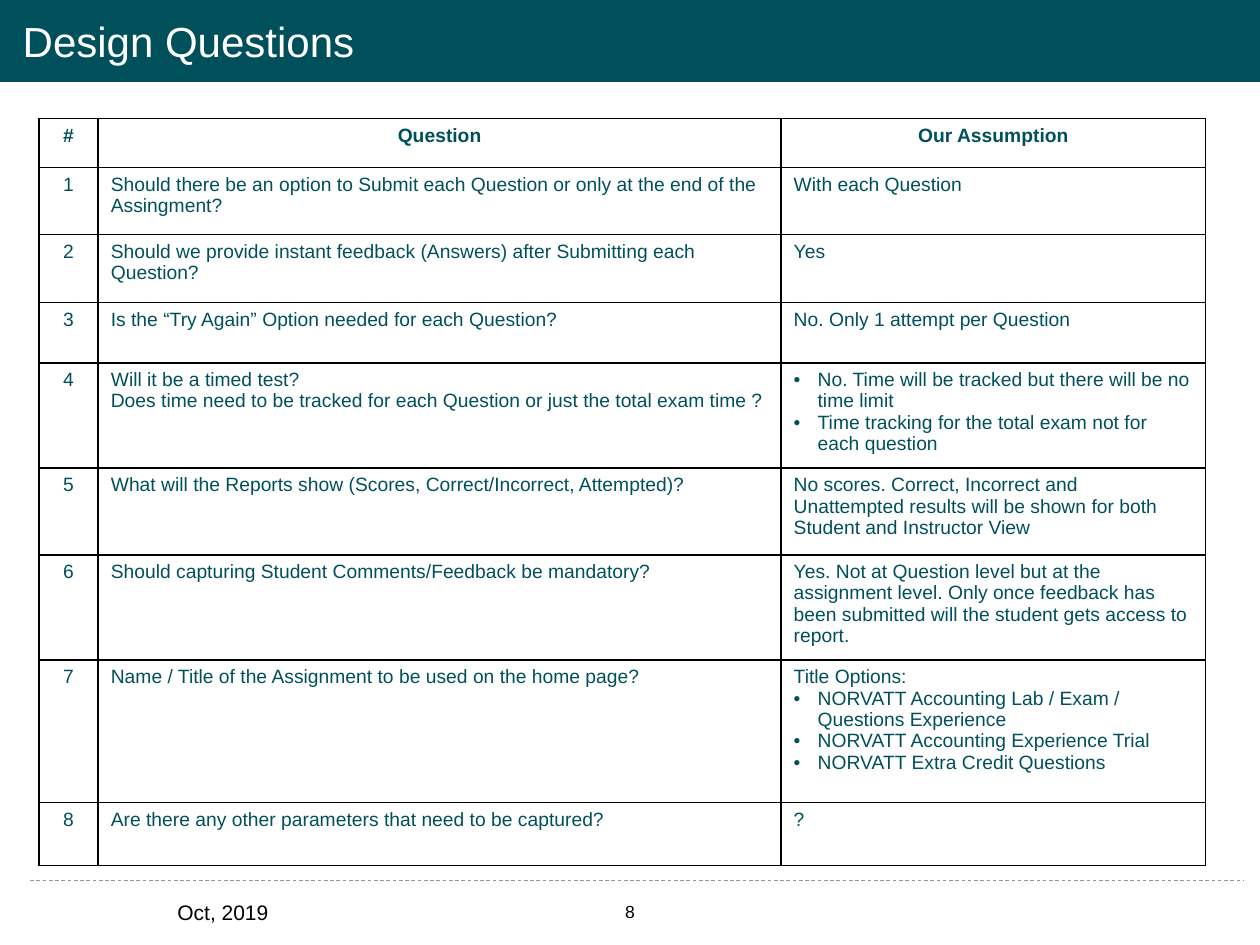
from lxml.etree import SubElement
from pptx import Presentation
from pptx.dml.color import RGBColor
from pptx.enum.dml import MSO_LINE
from pptx.enum.shapes import MSO_CONNECTOR, MSO_SHAPE
from pptx.enum.text import MSO_ANCHOR as Anchor, PP_ALIGN as Align
from pptx.oxml.ns import qn
from pptx.util import Inches, Pt

TEAL = RGBColor(0x00, 0x50, 0x5C)
GREY = RGBColor(0x96, 0x96, 0x96)
BLACK = RGBColor(0, 0, 0)
WHITE = RGBColor(255, 255, 255)
FONT = "Arial"
BULLET = "• "

TITLE = "Design Questions"
DATE = "Oct, 2019"
PAGE = "8"
HEADINGS = ("#", "Question", "Our Assumption")
QUESTIONS = [
    (["Should there be an option to Submit each Question or only at the end of the Assingment?"],
     ["With each Question"], 0.53),
    (["Should we provide instant feedback (Answers) after Submitting each Question?"],
     ["Yes"], 0.54),
    (["Is the “Try Again” Option needed for each Question?"],
     ["No. Only 1 attempt per Question"], 0.48),
    (["Will it be a timed test?",
      "Does time need to be tracked for each Question or just the total exam time ?"],
     ["• No. Time will be tracked but there will be no time limit",
      "• Time tracking for the total exam not for each question"], 0.79),
    (["What will the Reports show (Scores, Correct/Incorrect, Attempted)?"],
     ["No scores. Correct, Incorrect and Unattempted results will be shown "
      "for both Student and Instructor View"], 0.69),
    (["Should capturing Student Comments/Feedback be mandatory?"],
     ["Yes. Not at Question level but at the assignment level. Only once feedback "
      "has been submitted will the student gets access to report."], 0.79),
    (["Name / Title of the Assignment to be used on the home page?"],
     ["Title Options:",
      "• NORVATT Accounting Lab / Exam / Questions Experience",
      "• NORVATT Accounting Experience Trial",
      "• NORVATT Extra Credit Questions"], 1.13),
    (["Are there any other parameters that need to be captured?"], ["?"], 0.5),
]
COLUMN_WIDTHS = (0.47, 5.42, 3.37)
HEADING_HEIGHT = 0.39


def style(paragraph, size, color, bold=False, align=Align.LEFT):
    paragraph.alignment = align
    for run in paragraph.runs:
        run.font.name = FONT
        run.font.size = Pt(size)
        run.font.bold = bold
        run.font.color.rgb = color


def add_label(slide, text, box, size, align=Align.LEFT):
    frame = slide.shapes.add_textbox(*map(Inches, box)).text_frame
    frame.word_wrap = True
    frame.text = text
    style(frame.paragraphs[0], size, BLACK, align=align)
    return frame


def add_bullet(paragraph):
    properties = paragraph._p.get_or_add_pPr()
    properties.set("marL", str(Inches(0.19)))
    properties.set("indent", str(-Inches(0.19)))
    SubElement(properties, qn("a:buFont"), typeface=FONT)
    SubElement(properties, qn("a:buChar"), char=BULLET.strip())


def add_borders(cell):
    properties = cell._tc.get_or_add_tcPr()
    for side in ("L", "R", "T", "B"):
        border = SubElement(properties, qn(f"a:ln{side}"), w=str(Pt(1)))
        fill = SubElement(border, qn("a:solidFill"))
        SubElement(fill, qn("a:srgbClr"), val=str(BLACK))


def fill_cell(cell, lines, bold, align):
    add_borders(cell)
    cell.fill.background()
    frame = cell.text_frame
    frame.text = "\n".join(line.removeprefix(BULLET) for line in lines)
    for paragraph, line in zip(frame.paragraphs, lines):
        style(paragraph, 11, TEAL, bold, align)
        if line.startswith(BULLET):
            add_bullet(paragraph)


def add_questions(slide):
    rows = [([[heading] for heading in HEADINGS], HEADING_HEIGHT)]
    for number, (question, assumption, height) in enumerate(QUESTIONS, 1):
        rows.append(([[str(number)], question, assumption], height))
    size = sum(COLUMN_WIDTHS), sum(height for _, height in rows)
    table = slide.shapes.add_table(
        len(rows), len(HEADINGS), *map(Inches, (0.31, 0.94, *size))).table
    table.first_row = table.horz_banding = False
    for column, width in zip(table.columns, COLUMN_WIDTHS):
        column.width = Inches(width)
    for r, (cells, height) in enumerate(rows):
        table.rows[r].height = Inches(height)
        for c, lines in enumerate(cells):
            align = Align.CENTER if r == 0 or c == 0 else Align.LEFT
            fill_cell(table.cell(r, c), lines, r == 0, align)


def add_header(slide):
    band = slide.shapes.add_shape(MSO_SHAPE.RECTANGLE, 0, 0, Inches(10), Inches(0.65))
    band.shadow.inherit = False
    band.fill.solid()
    band.fill.fore_color.rgb = TEAL
    band.line.fill.background()

    title = slide.shapes.title
    title.left, title.top, title.width, title.height = map(Inches, (0.08, 0.02, 9.48, 0.65))
    title.text_frame.text = TITLE
    title.text_frame.vertical_anchor = Anchor.MIDDLE
    heading = title.text_frame.paragraphs[0]
    style(heading, 24, WHITE)
    heading.line_spacing = 0.9
    heading.space_before, heading.space_after = Pt(3), Pt(6)
    band.element.addnext(title.element)


def add_footer(slide):
    rule = slide.shapes.add_connector(
        MSO_CONNECTOR.STRAIGHT, *map(Inches, (0.24, 6.99, 9.87, 6.99)))
    rule.line.color.rgb = GREY
    rule.line.width = Pt(0.5)
    rule.line.dash_style = MSO_LINE.DASH
    SubElement(rule.element.spPr, qn("a:effectLst"))

    date = add_label(slide, DATE, (1.31, 6.95, 2.25, 0.61), 12)
    date.vertical_anchor = Anchor.MIDDLE
    date.paragraphs[0].line_spacing = 0.9
    date.paragraphs[0].space_before = Pt(7.5)

    page = add_label(slide, PAGE, (3.72, 7.07, 2.56, 0.37), 10, Align.CENTER)
    page.margin_top = page.margin_bottom = Inches(0.1)


def main():
    deck = Presentation()
    deck.slide_width, deck.slide_height = Inches(10), Inches(7.5)
    slide = deck.slides.add_slide(deck.slide_layouts[5])
    add_header(slide)
    add_footer(slide)
    add_questions(slide)
    deck.save("out.pptx")


if __name__ == "__main__":
    main()
